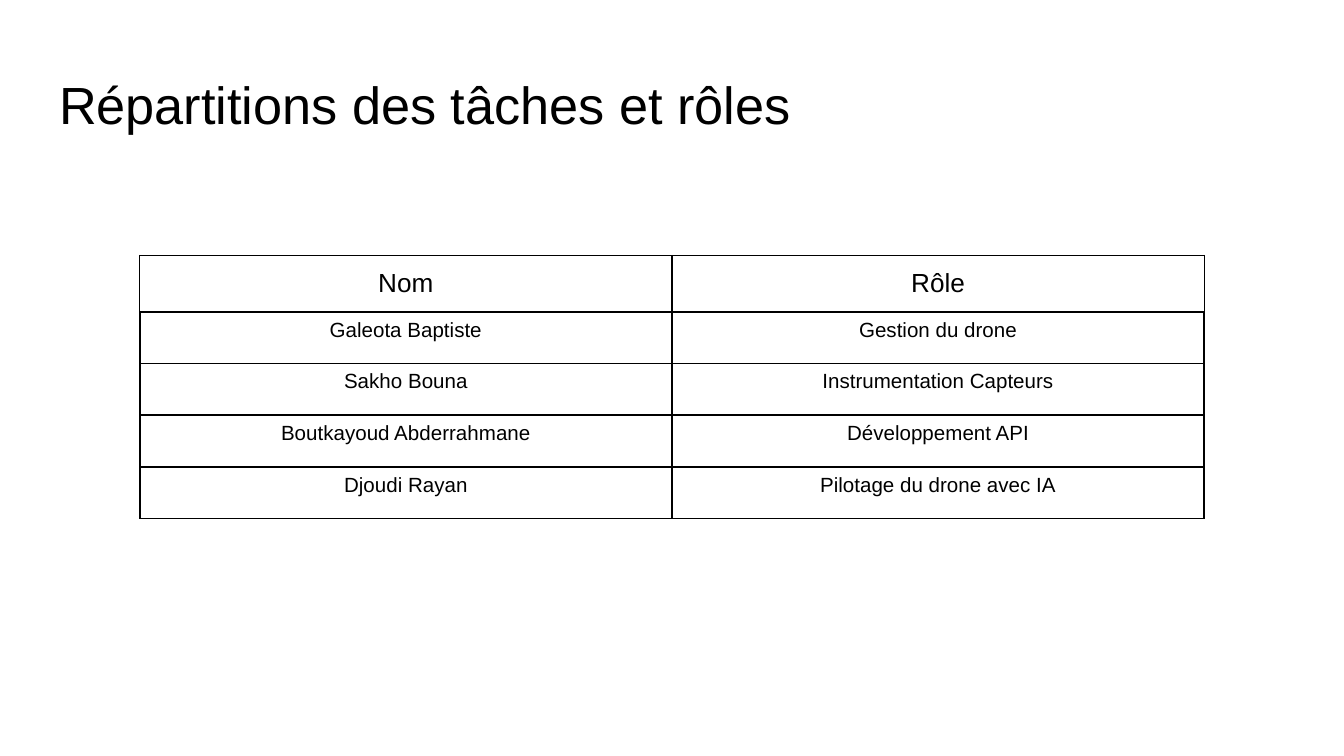
from dataclasses import dataclass
from lxml.etree import SubElement
from pptx import Presentation
from pptx.dml.color import RGBColor as RGB
from pptx.enum.text import MSO_ANCHOR as Anchor, PP_ALIGN as Align
from pptx.oxml.ns import qn
from pptx.util import Inches, Pt

TITLE = "Répartitions des tâches et rôles"
ROWS = [
    ("Nom", "Rôle"),
    ("Galeota Baptiste", "Gestion du drone"),
    ("Sakho Bouna", "Instrumentation Capteurs"),
    ("Boutkayoud Abderrahmane", "Développement API"),
    ("Djoudi Rayan", "Pilotage du drone avec IA"),
]


@dataclass(frozen=True)
class Theme:
    font: str = "Arial"
    ink: str = "000000"
    paper: str = "FFFFFF"
    title: int = 28
    head: int = 14
    body: int = 11
    thin: float = 0.75
    rule: float = 0.96


T = Theme()
WIDE = 10
HIGH = WIDE * 9 / 16
LEFT, TOP = 1.04, 1.9
COL = (WIDE - 2 * LEFT) / len(ROWS[0])
HEAD_H, TALL = 0.42, 1.96
ROW_H = (TALL - HEAD_H) / (len(ROWS) - 1)


def write(frame, text, size, align=Align.LEFT, lead=1.0):
    frame.text = text
    para = frame.paragraphs[0]
    para.alignment = align
    para.line_spacing = lead
    para.space_before = Pt(0)
    font = para.runs[0].font
    font.name, font.size = T.font, Pt(size)
    font.color.rgb = RGB.from_string(T.ink)


def edge(cell, sides):
    props = cell._tc.get_or_add_tcPr()
    for spot, (side, width) in enumerate(sides.items()):
        line = SubElement(props, qn(f"a:ln{side}"), w=str(Pt(width)))
        fill = SubElement(line, qn("a:solidFill"))
        SubElement(fill, qn("a:srgbClr"), val=T.ink)
        props.insert(spot, line)


def main():
    deck = Presentation()
    deck.slide_width, deck.slide_height = Inches(WIDE), Inches(HIGH)
    slide = deck.slides.add_slide(deck.slide_layouts[5])
    slide.background.fill.solid()
    slide.background.fill.fore_color.rgb = RGB.from_string(T.paper)

    title = slide.shapes.title
    title.left, title.top = Inches(0.34), Inches(0.49)
    title.width, title.height = Inches(WIDE - 2 * 0.34), Inches(0.63)
    frame = title.text_frame
    frame.margin_left = frame.margin_right = Inches(0.1)
    frame.margin_top = frame.margin_bottom = Inches(0.1)
    frame.vertical_anchor = Anchor.TOP
    write(frame, TITLE, T.title, lead=0.9)

    table = slide.shapes.add_table(
        len(ROWS), len(ROWS[0]), Inches(LEFT), Inches(TOP),
        Inches(COL * len(ROWS[0])), Inches(TALL)).table
    table.horz_banding = False
    for col in table.columns:
        col.width = Inches(COL)
    for r, row in enumerate(ROWS):
        head = r == 0
        table.rows[r].height = Inches(HEAD_H if head else ROW_H)
        for c, text in enumerate(row):
            cell = table.cell(r, c)
            cell.margin_left = cell.margin_right = Inches(0.1 if head else 0.07)
            cell.margin_top = cell.margin_bottom = Inches(0.05)
            cell.vertical_anchor = Anchor.MIDDLE if head else Anchor.TOP
            cell.fill.background()
            write(cell.text_frame, text, T.head if head else T.body, Align.CENTER)
            edge(cell, dict.fromkeys("LRT", T.thin if head else T.rule) | {"B": T.rule})

    deck.save("out.pptx")


if __name__ == "__main__":
    main()
